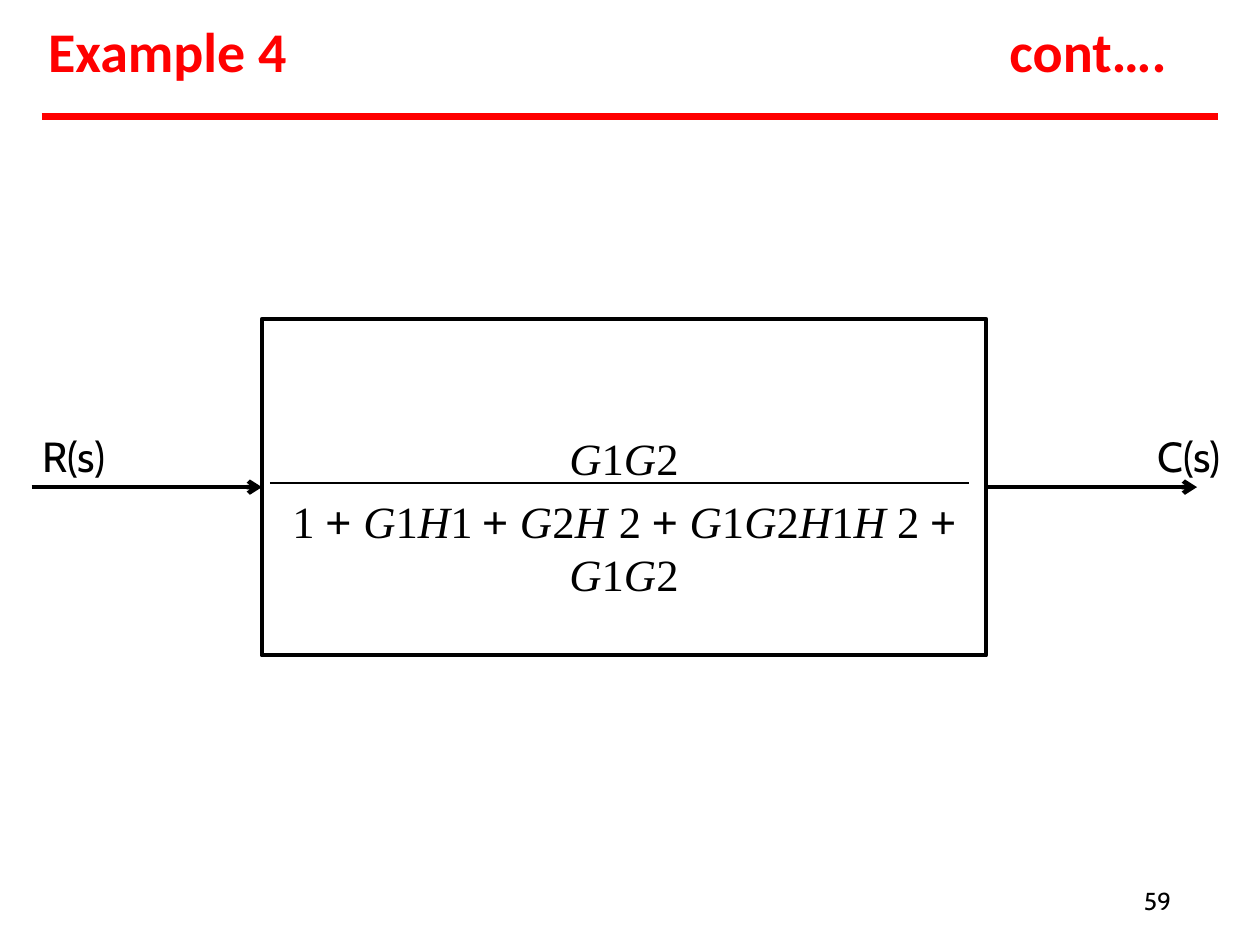
from itertools import groupby

from lxml.etree import SubElement
from pptx import Presentation
from pptx.dml.color import RGBColor
from pptx.enum.shapes import MSO_CONNECTOR, MSO_SHAPE
from pptx.enum.text import MSO_ANCHOR, PP_ALIGN
from pptx.oxml.ns import qn
from pptx.util import Cm, Pt

COLORS = {"accent": "FF0000", "ink": "000000"}
NUMERATOR = [("G1G2", -1.2)]
DENOMINATOR = [
    ("1 ", -0.3), ("+ ", -0.4), ("G1H1 ", -1), ("+ ", -0.4),
    ("G2H ", 0.1), ("2 ", -0.3), ("+ ", -0.4),
    ("G1G2H1H ", -0.9), ("2 ", -0.3), ("+ ", -0.4), ("G1G2", -1.3),
]


def rgb(name):
    """Return the named palette colour."""
    return RGBColor.from_string(COLORS[name])


def set_margins(frame, top):
    """Remove all insets of a text frame except the top one."""
    frame.margin_left = frame.margin_right = frame.margin_bottom = 0
    frame.margin_top = top
    frame.vertical_anchor = MSO_ANCHOR.TOP
    frame.word_wrap = True


def add_label(slide, text, left, top, width, height, size,
              font="Cabin", color="ink", bold=False):
    """Add a one-line text box, placed in centimetres."""
    box = slide.shapes.add_textbox(Cm(left), Cm(top), Cm(width), Cm(height))
    set_margins(box.text_frame, Cm(0.03))
    paragraph = box.text_frame.paragraphs[0]
    paragraph.text = text
    paragraph.space_before = Pt(1)
    paragraph.font.name = font
    paragraph.font.size = Pt(size)
    paragraph.font.bold = bold
    paragraph.font.color.rgb = rgb(color)


def add_line(slide, x1, y1, x2, y2, weight, color="ink", arrow=False):
    """Add a straight line, with an optional arrowhead at its end."""
    line = slide.shapes.add_connector(
        MSO_CONNECTOR.STRAIGHT, Cm(x1), Cm(y1), Cm(x2), Cm(y2))
    line.line.color.rgb = rgb(color)
    line.line.width = Pt(weight)
    if arrow:
        SubElement(line.line._get_or_add_ln(), qn("a:tailEnd"), type="arrow")
    SubElement(line._element.spPr, qn("a:effectLst"))
    return line


def add_terms(paragraph, terms):
    """Write formula terms with italic letters and upright digits."""
    paragraph.alignment = PP_ALIGN.CENTER
    paragraph.font.size = Pt(25.5)
    paragraph.font.color.rgb = rgb("ink")
    for term, spacing in terms:
        for is_letter, characters in groupby(term, key=str.isalpha):
            run = paragraph.add_run()
            run.text = "".join(characters)
            run.font.name = "Arial" if "+" in term else "Times New Roman"
            run.font.italic = is_letter
            run._r.get_or_add_rPr().set("spc", str(round(spacing * 100)))


def add_transfer_block(slide):
    """Add the outlined block that holds the transfer function."""
    block = slide.shapes.add_shape(
        MSO_SHAPE.RECTANGLE, Cm(5.28), Cm(6.43), Cm(14.6), Cm(6.78))
    block.shadow.inherit = False
    block.fill.background()
    block.line.color.rgb = rgb("ink")
    block.line.width = Pt(2.5)
    frame = block.text_frame
    set_margins(frame, Cm(2.25))
    add_terms(frame.paragraphs[0], NUMERATOR)
    denominator = frame.add_paragraph()
    denominator.space_before = Pt(5.5)
    add_terms(denominator, DENOMINATOR)
    return block


def main():
    """Build the block diagram slide and save it."""
    presentation = Presentation()
    presentation.slide_width, presentation.slide_height = Cm(25.4), Cm(19.05)
    slide = presentation.slides.add_slide(presentation.slide_layouts[6])

    heading = {"size": 32, "font": "Calibri", "color": "accent", "bold": True}
    add_label(slide, "Example 4", 0.97, 0.3, 4.88, 1.42, **heading)
    add_label(slide, "cont….", 20.35, 0.3, 3.25, 1.42, **heading)
    add_line(slide, 0.84, 2.34, 24.56, 2.34, 4, "accent")

    block = add_transfer_block(slide)
    add_line(slide, 5.44, 9.73, 19.53, 9.73, 1.25)
    signal_in = add_line(slide, 0.64, 9.82, 5.28, 9.82, 2.5, arrow=True)
    signal_in.end_connect(block, 1)
    signal_out = add_line(slide, 19.88, 9.82, 24.13, 9.82, 2.5, arrow=True)
    signal_out.begin_connect(block, 3)

    add_label(slide, "R(s)", 0.86, 8.64, 1.63, 1.09, 24)
    add_label(slide, "C(s)", 23.34, 8.64, 1.63, 1.09, 24)
    add_label(slide, "59", 23.06, 17.83, 0.9, 0.66, 14)
    presentation.save("out.pptx")


if __name__ == "__main__":
    main()
